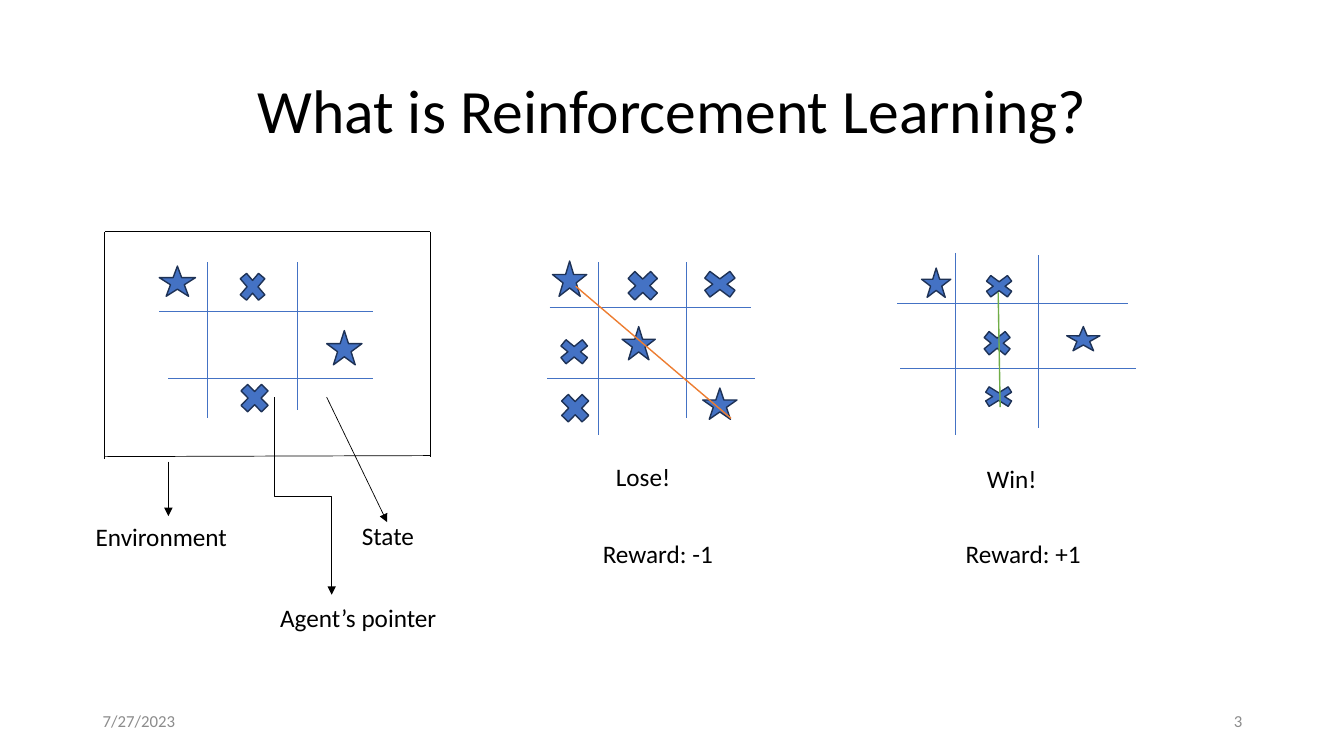
from dataclasses import dataclass

from lxml import etree
from pptx import Presentation
from pptx.dml.color import RGBColor
from pptx.enum.shapes import MSO_CONNECTOR as CONN, MSO_SHAPE as SHAPE
from pptx.enum.text import MSO_ANCHOR as ANCHOR, MSO_AUTO_SIZE as AUTO, PP_ALIGN as ALIGN
from pptx.oxml.ns import qn
from pptx.util import Inches, Pt


@dataclass(frozen=True)
class Theme:
    font: str = "Calibri"
    ink: str = "000000"
    muted: str = "8C8C8C"
    mark: str = "4472C4"
    mark_edge: str = "1E3256"
    lose: str = "ED7D31"
    win: str = "70AD47"
    title_size: int = 44
    label_size: int = 18
    footer_size: int = 12
    thin: float = 0.5
    thick: float = 1


class SlideBuilder:
    def __init__(self, prs, theme):
        self.theme = theme
        self.s = prs.slides.add_slide(prs.slide_layouts[5])

    def add_run(self, p, text, size, color):
        r = p.add_run()
        r.text = text
        r.font.name = self.theme.font
        r.font.size = Pt(size)
        r.font.color.rgb = RGBColor.from_string(color)

    def title(self, text, x, y, w, h):
        sp = self.s.shapes.title
        sp.left, sp.top, sp.width, sp.height = map(Inches, (x, y, w, h))
        tf = sp.text_frame
        tf.vertical_anchor = ANCHOR.MIDDLE
        p = tf.paragraphs[0]
        p.alignment = ALIGN.CENTER
        p.line_spacing = 0.9
        self.add_run(p, text, self.theme.title_size, self.theme.ink)

    def text(self, text, x, y, w, size, color, align=ALIGN.LEFT, anchor=ANCHOR.TOP):
        sp = self.s.shapes.add_textbox(*map(Inches, (x, y, w, 0.4)))
        tf = sp.text_frame
        tf.word_wrap = True
        tf.vertical_anchor = anchor
        p = tf.paragraphs[0]
        p.alignment = align
        self.add_run(p, text, size, color)
        return tf

    def label(self, text, x, y, w):
        tf = self.text(text, x, y, w, self.theme.label_size, self.theme.ink)
        tf.auto_size = AUTO.SHAPE_TO_FIT_TEXT

    def footer(self, text, x, align):
        self.text(text, x, 6.95, 3, self.theme.footer_size, self.theme.muted,
                  align, ANCHOR.MIDDLE)

    def line(self, x1, y1, x2, y2, color, width, arrow=False, kind=CONN.STRAIGHT):
        cx = self.s.shapes.add_connector(kind, *map(Inches, (x1, y1, x2, y2)))
        cx.line.color.rgb = RGBColor.from_string(color)
        cx.line.width = Pt(width)
        sp_pr = cx._element.spPr
        if arrow:
            etree.SubElement(sp_pr.find(qn("a:ln")), qn("a:tailEnd"), type="triangle")
        etree.SubElement(sp_pr, qn("a:effectLst"))
        return cx

    def arrow(self, x1, y1, x2, y2):
        self.line(x1, y1, x2, y2, self.theme.ink, self.theme.thin, arrow=True)

    def down_elbow(self, x1, y1, x2, y2):
        mid_x, mid_y = (x1 + x2) / 2, (y1 + y2) / 2
        half_w, half_h = (y2 - y1) / 2, (x2 - x1) / 2
        cx = self.line(mid_x + half_w, mid_y - half_h, mid_x - half_w, mid_y + half_h,
                       self.theme.ink, self.theme.thin, arrow=True, kind=CONN.ELBOW)
        cx._element.spPr.find(qn("a:xfrm")).set("rot", str(270 * 60000))

    def mark(self, kind, x, y, w, h):
        sp = self.s.shapes.add_shape(kind, *map(Inches, (x, y, w, h)))
        sp.shadow.inherit = False
        sp.fill.solid()
        sp.fill.fore_color.rgb = RGBColor.from_string(self.theme.mark)
        sp.line.color.rgb = RGBColor.from_string(self.theme.mark_edge)
        sp.line.width = Pt(self.theme.thick)

    def board(self, grid, stars, crosses):
        for ends in grid:
            self.line(*ends, self.theme.mark, self.theme.thin)
        for kind, boxes in ((SHAPE.STAR_5_POINT, stars), (SHAPE.MATH_MULTIPLY, crosses)):
            for box in boxes:
                self.mark(kind, *box)


BOARDS = [
    dict(
        grid=[(1.58, 3.09, 3.7, 3.09), (1.67, 3.75, 3.7, 3.75),
              (2.06, 2.6, 2.06, 4.15), (2.95, 2.6, 2.95, 4.07)],
        stars=[(1.58, 2.64, 0.36, 0.3), (3.24, 3.28, 0.35, 0.34)],
        crosses=[(2.33, 2.64, 0.35, 0.41), (2.33, 3.75, 0.39, 0.4)],
    ),
    dict(
        grid=[(5.45, 3.05, 7.45, 3.05), (5.43, 3.75, 7.49, 3.75),
              (5.93, 2.6, 5.93, 4.32), (6.81, 2.6, 6.81, 4.15)],
        stars=[(5.48, 2.59, 0.34, 0.35), (6.17, 3.24, 0.33, 0.33),
               (6.97, 3.85, 0.34, 0.31)],
        crosses=[(6.16, 2.63, 0.43, 0.41), (6.9, 2.64, 0.48, 0.36),
                 (5.49, 3.32, 0.41, 0.34), (5.51, 3.85, 0.39, 0.4)],
    ),
    dict(
        grid=[(8.9, 3.01, 11.19, 3.01), (8.93, 3.65, 11.27, 3.65),
              (9.48, 2.51, 9.48, 4.32), (10.3, 2.53, 10.3, 4.25)],
        stars=[(9.14, 2.66, 0.29, 0.29), (10.58, 3.24, 0.33, 0.24)],
        crosses=[(9.71, 2.69, 0.4, 0.3), (9.69, 3.24, 0.4, 0.33),
                 (9.69, 3.8, 0.43, 0.27)],
    ),
]

LABELS = [
    ("Lose!", 6.01, 4.53, 0.89),
    ("Win!", 9.69, 4.55, 0.94),
    ("Reward: -1", 5.88, 5.29, 1.61),
    ("Reward: +1", 9.48, 5.29, 1.79),
    ("Environment", 0.85, 5.12, 1.61),
    ("State", 3.49, 5.11, 0.97),
    ("Agent’s pointer", 2.68, 5.93, 1.79),
]

ENVIRONMENT_FRAME = [
    (1.04, 2.3, 1.04, 4.55),
    (1.04, 2.3, 4.27, 2.3),
    (1.04, 4.53, 4.27, 4.52),
    (4.27, 2.3, 4.27, 4.53),
]


def main():
    prs = Presentation()
    prs.slide_width, prs.slide_height = Inches(13.33), Inches(7.5)
    theme = Theme()
    slide = SlideBuilder(prs, theme)

    slide.title("What is Reinforcement Learning?", 0.92, 0.4, 11.5, 1.45)
    for board in BOARDS:
        slide.board(**board)
    for label in LABELS:
        slide.label(*label)
    slide.footer("7/27/2023", 0.92, ALIGN.LEFT)
    slide.footer("3", 9.42, ALIGN.RIGHT)

    for side in ENVIRONMENT_FRAME:
        slide.line(*side, theme.ink, theme.thin)
    slide.arrow(1.67, 4.58, 1.67, 5.12)
    slide.arrow(3.24, 3.94, 3.84, 5.18)
    slide.down_elbow(2.72, 3.94, 3.29, 5.9)
    slide.line(5.71, 2.84, 7.25, 4.15, theme.lose, theme.thick)
    slide.line(9.9, 2.9, 9.92, 4.04, theme.win, theme.thick)

    prs.save("out.pptx")


if __name__ == "__main__":
    main()
